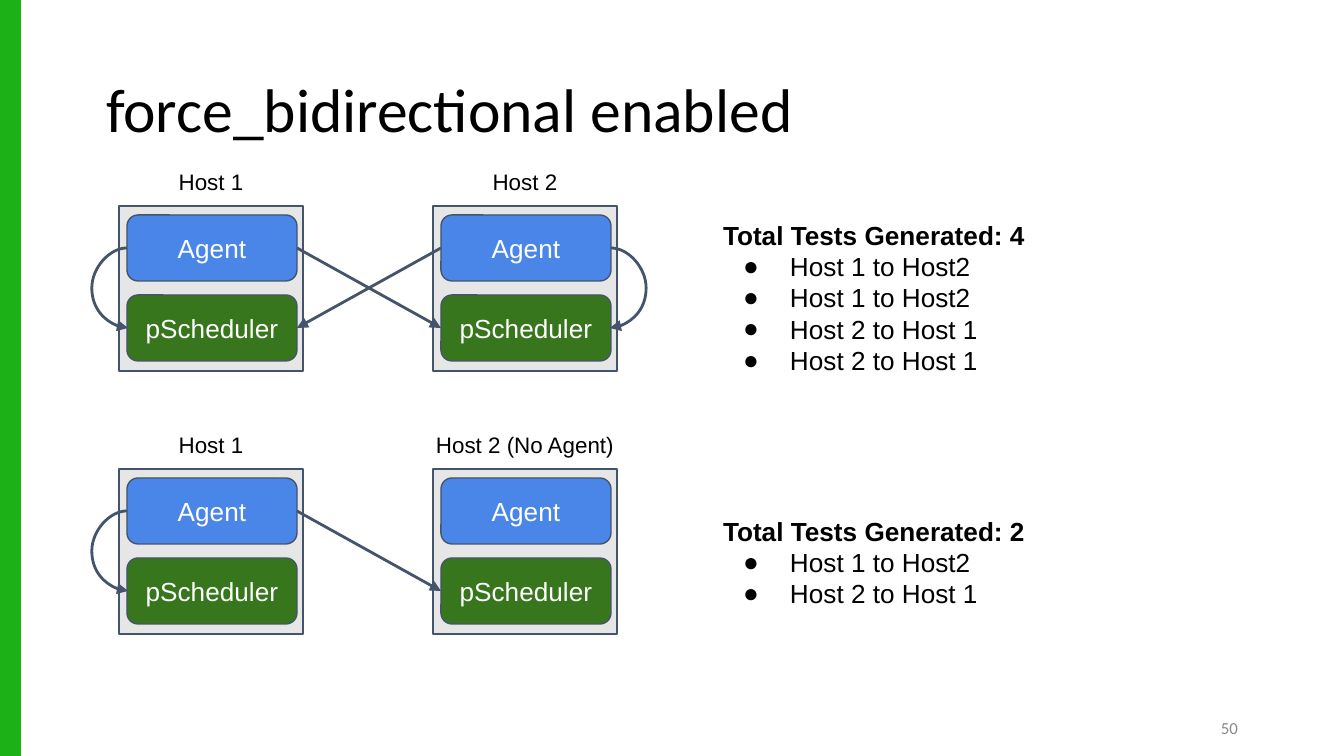
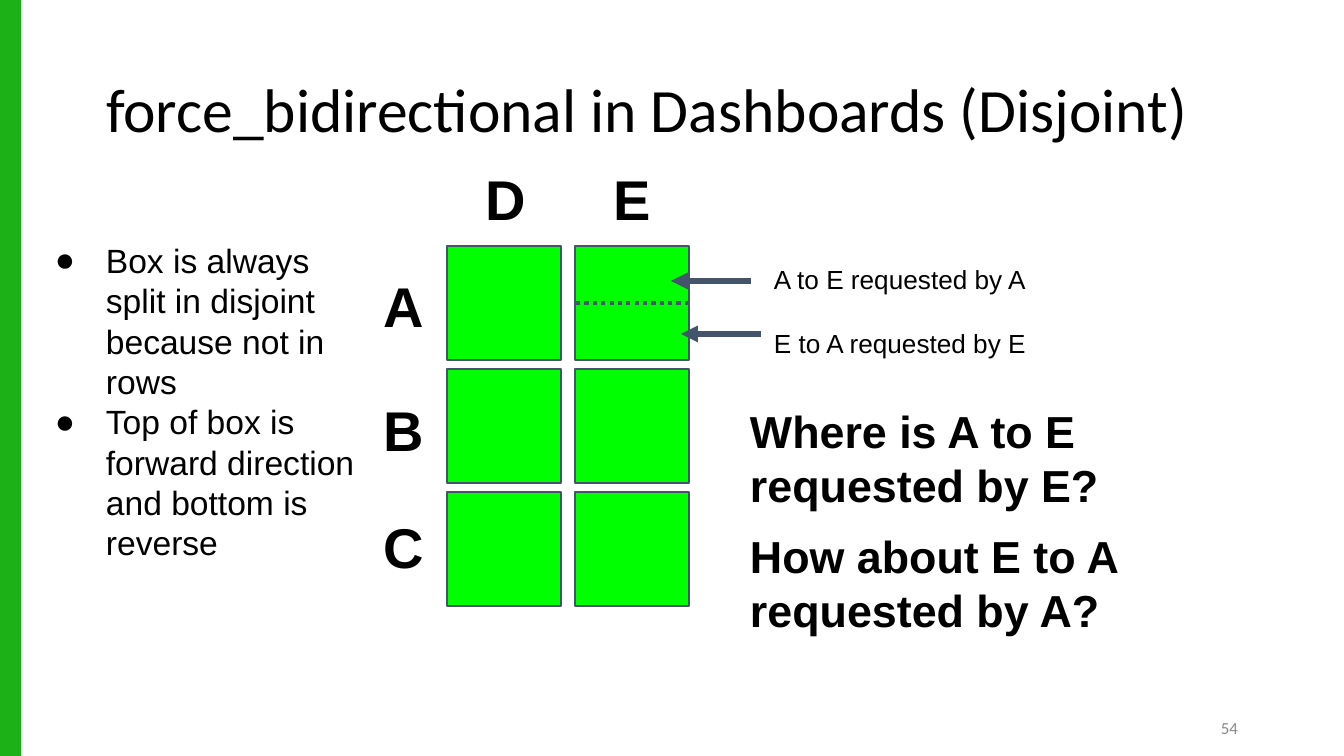
from lxml import etree
from pptx import Presentation
from pptx import util as u
from pptx.dml.color import RGBColor
from pptx.enum import dml, shapes, text
from pptx.oxml import ns

GREEN_BAR = "1DB118"
SLATE = "44546A"
HOST_GREY = "E7E6E6"
AGENT_BLUE = "4A86E8"
SCHEDULER_GREEN = "38761D"
CELL_GREEN = "00FF00"
BLACK = "000000"
WHITE = "FFFFFF"
NUMBER_GREY = "888888"
PAGE_SIZE = (1344, 756)
INSET = 13
LEFT, CENTER, RIGHT = text.PP_ALIGN.LEFT, text.PP_ALIGN.CENTER, text.PP_ALIGN.RIGHT
TOP, MIDDLE = text.MSO_ANCHOR.TOP, text.MSO_ANCHOR.MIDDLE
SIDE_LEFT, SIDE_RIGHT = 1, 3


def px(length):
    return u.Emu(round(length * 914400 / 134.4))


def color(value):
    return RGBColor.from_string(value)


def add_element(parent, tag, **attributes):
    return etree.SubElement(parent, ns.qn(tag), attributes)


def add_bullet(para, indent, hanging):
    properties = para._p.get_or_add_pPr()
    properties.set("marL", str(px(indent)))
    properties.set("indent", str(px(-hanging)))
    tint = add_element(properties, "a:buClr")
    add_element(tint, "a:srgbClr", val=BLACK)
    add_element(properties, "a:buFont", typeface="Arial")
    add_element(properties, "a:buChar", char="●")


def write(box, *lines, size, font="Arial", ink=BLACK, bold=False, align=LEFT,
          anchor=TOP, inset_y=INSET, spacing=None, bullets_from=None, hanging=47):
    frame = box.text_frame
    frame.word_wrap = True
    frame.auto_size = text.MSO_AUTO_SIZE.NONE
    frame.vertical_anchor = anchor
    frame.margin_left = frame.margin_right = px(INSET)
    frame.margin_top = frame.margin_bottom = px(inset_y)
    for index, line in enumerate(lines):
        para = frame.add_paragraph() if index else frame.paragraphs[0]
        bulleted = bullets_from is not None and index >= bullets_from
        if bulleted:
            add_bullet(para, 67, hanging)
        para.alignment = align
        if spacing:
            para.line_spacing = spacing
        span = para.add_run()
        span.text = line
        span.font.name = font
        span.font.size = u.Pt(size)
        span.font.bold = bold and not bulleted
        span.font.color.rgb = color(ink)


def add_text(page, left, top, width, height, *lines, **style):
    box = page.shapes.add_textbox(px(left), px(top), px(width), px(height))
    write(box, *lines, **style)


def add_block(page, left, top, width, height, fill, line=SLATE,
              kind=shapes.MSO_SHAPE.RECTANGLE):
    block = page.shapes.add_shape(kind, px(left), px(top), px(width), px(height))
    block.shadow.inherit = False
    block.fill.solid()
    block.fill.fore_color.rgb = color(fill)
    block.line.color.rgb = color(line)
    block.line.width = u.Pt(0.75)
    return block


def add_line(page, start=(0, 0), end=(0, 0), weight=1.5, arrow=True,
             kind=shapes.MSO_CONNECTOR.STRAIGHT):
    line = page.shapes.add_connector(kind, *map(px, (*start, *end)))
    line.line.color.rgb = color(SLATE)
    line.line.width = u.Pt(weight)
    if arrow:
        add_element(line.line._get_or_add_ln(), "a:tailEnd", type="triangle")
    add_element(line._element.spPr, "a:effectLst")
    return line


def join(page, source, source_side, target, target_side, **style):
    line = add_line(page, **style)
    line.begin_connect(source, source_side)
    line.end_connect(target, target_side)
    return line


def add_loop(page, x, top, bottom, step, bulge=35):
    loop = add_line(page, (x, top), (x + step, bottom),
                    kind=shapes.MSO_CONNECTOR.CURVE)
    guides = loop._element.spPr.find(ns.qn("a:prstGeom")).get_or_add_avLst()
    add_element(guides, "a:gd", name="adj1", fmla=f"val {-bulge * 100000}")


def add_page(deck, title, number):
    page = deck.slides.add_slide(deck.slide_layouts[5])
    add_block(page, 0, 0, 20, PAGE_SIZE[1], GREEN_BAR, line=GREEN_BAR)
    heading = page.shapes.title
    heading.left, heading.top, heading.width, heading.height = map(px, (93, 40, 1159, 146))
    write(heading, title, size=33, font="Calibri", anchor=MIDDLE, spacing=0.9)
    add_text(page, 949, 708, 302, 40, number, size=9, font="Calibri",
             ink=NUMBER_GREY, align=RIGHT, anchor=MIDDLE, inset_y=7)
    return page


def add_host(page, left, top, name):
    add_block(page, left, top, 184, 165, HOST_GREY)
    add_text(page, left - 38, top - 51, 260, 46, name, size=12, align=CENTER)
    parts = []
    for label, fill, offset in (("Agent", AGENT_BLUE, 9),
                                ("pScheduler", SCHEDULER_GREEN, 89)):
        part = add_block(page, left + 8, top + offset, 170, 66, fill,
                         kind=shapes.MSO_SHAPE.ROUNDED_RECTANGLE)
        write(part, label, size=14, ink=WHITE, align=CENTER, anchor=MIDDLE)
        parts.append(part)
    return parts


def add_host_pair(page, left, top, second_name, both_agents):
    second_left = left + 314
    agent_1, scheduler_1 = add_host(page, left, top, "Host 1")
    agent_2, scheduler_2 = add_host(page, second_left, top, second_name)
    add_loop(page, left + 8, top + 42, top + 122, 1)
    join(page, agent_1, SIDE_RIGHT, scheduler_2, SIDE_LEFT)
    if both_agents:
        add_loop(page, second_left + 178, top + 42, top + 122, -1)
        join(page, agent_2, SIDE_LEFT, scheduler_1, SIDE_RIGHT)


def add_totals(page, left, top, height, tests):
    add_text(page, left, top, 433, height, f"Total Tests Generated: {len(tests)}",
             *tests, size=14, bold=True, bullets_from=1)


def build_enabled(deck):
    page = add_page(deck, "force_bidirectional enabled", "50")
    add_host_pair(page, 119, 206, "Host 2", True)
    add_host_pair(page, 119, 469, "Host 2 (No Agent)", False)
    forward, backward = "Host 1 to Host2", "Host 2 to Host 1"
    add_totals(page, 710, 206, 165, [forward, forward, backward, backward])
    add_totals(page, 710, 502, 100, [forward, backward])


def add_grid(page, left, top):
    label = dict(size=30, bold=True)
    cells = {}
    for column, name in enumerate("DE"):
        x = left + column * 128
        add_text(page, x + 26, top - 95, 62, 86, name, **label)
        for row in range(3):
            cells[row, column] = add_block(page, x, top + row * 123, 114, 114, CELL_GREEN)
    for name, offset in zip("ABC", (13, 137, 253)):
        add_text(page, left - 76, top + offset, 62, 86, name, **label)
    split = cells[0, 1]
    divider = join(page, split, SIDE_RIGHT, split, SIDE_LEFT, weight=2.25, arrow=False)
    divider.line.dash_style = dml.MSO_LINE.ROUND_DOT


def add_requests(page, left, top):
    requests = (("A to E requested by A", 0, 31, -10),
                ("E to A requested by E", 64, 84, 0))
    for label, offset, arrow_offset, shift in requests:
        add_text(page, left, top + offset, 325, 40, label, size=14)
        start, y = left + shift, top + arrow_offset
        add_line(page, (start, y), (start - 80, y), weight=3)


def add_questions(page, left, top):
    questions = ("Where is A to E requested by E?", "How about E to A requested by A?")
    for index, question in enumerate(questions):
        add_text(page, left, top + index * 125, 524, 89, question, size=24, bold=True)


def build_disjoint(deck):
    page = add_page(deck, "force_bidirectional in Dashboards (Disjoint)", "54")
    add_text(page, 26, 227, 345, 255,
             "Box is always split in disjoint because not in rows",
             "Top of box is forward direction and bottom is reverse",
             size=18, bullets_from=0, hanging=51)
    add_grid(page, 447, 246)
    add_requests(page, 761, 250)
    add_questions(page, 737, 391)


def main():
    deck = Presentation()
    deck.slide_width, deck.slide_height = map(px, PAGE_SIZE)
    build_enabled(deck)
    build_disjoint(deck)
    deck.save("out.pptx")


if __name__ == "__main__":
    main()
